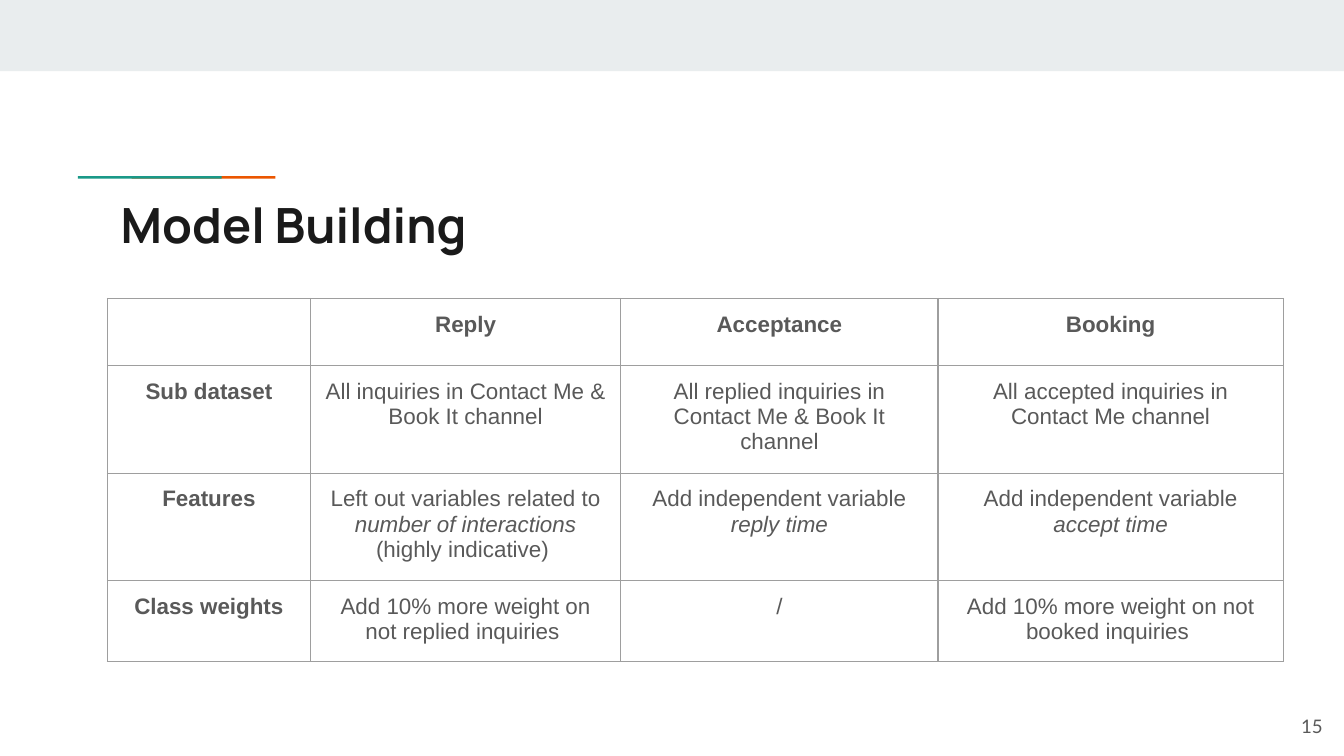
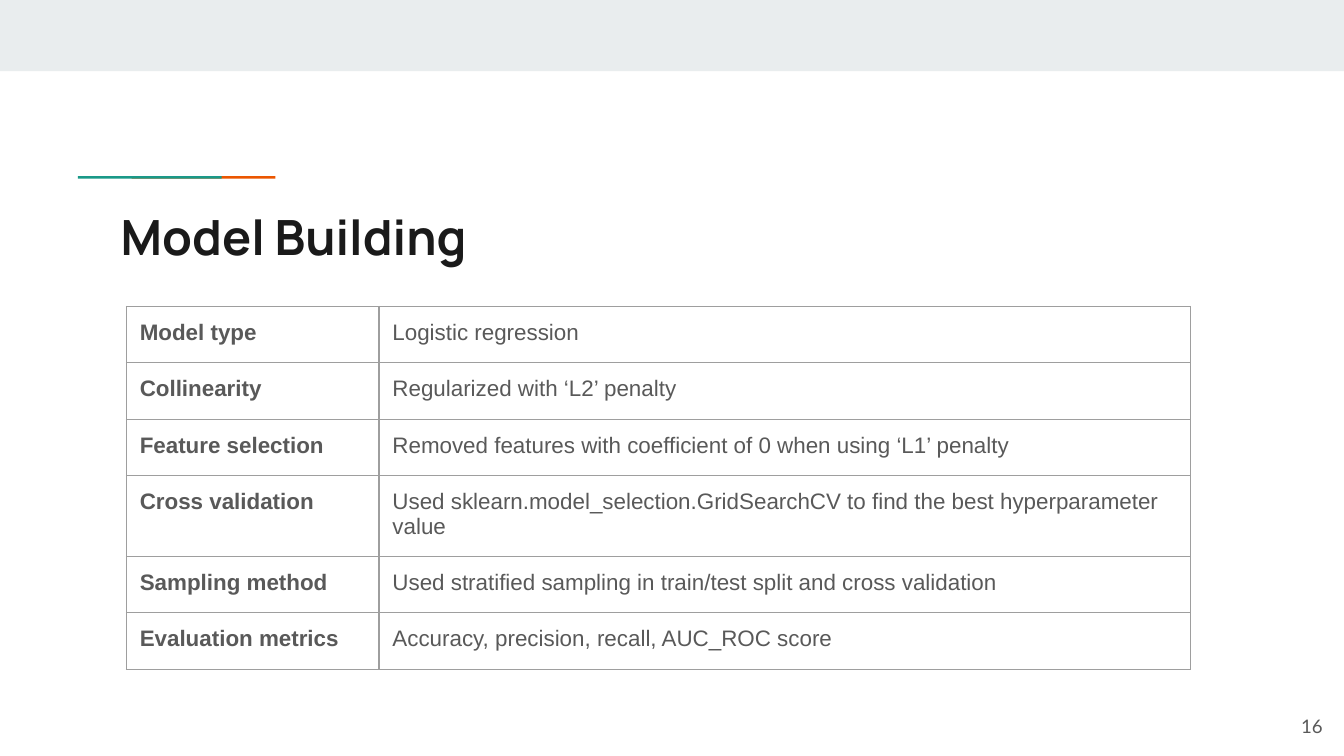
"""Build two slides on model building, each with a titled table."""
from dataclasses import dataclass

from lxml.etree import SubElement
from pptx import Presentation
from pptx.dml.color import RGBColor
from pptx.enum.shapes import MSO_SHAPE
from pptx.enum.text import MSO_ANCHOR, PP_ALIGN
from pptx.oxml import parse_xml
from pptx.oxml.ns import nsdecls, qn
from pptx.util import Inches, Pt


@dataclass(frozen=True)
class Theme:
    band: str = "E9EDEE"
    orange: str = "EB5600"
    green: str = "1A9988"
    title: str = "1A1A1A"
    body: str = "595959"
    border: str = "9E9E9E"
    title_font: str = "Manrope"
    body_font: str = "Arial"
    number_font: str = "Lato"
    title_size: int = 26
    body_size: int = 12
    number_size: int = 10
    border_width: float = 0.75


theme = Theme()


def add_span(para, text, font, size, color, bold=False, italic=False):
    span = para.add_run()
    span.text = text
    span.font.name = font
    span.font.size = Pt(size)
    span.font.color.rgb = RGBColor.from_string(color)
    span.font.bold = bold
    span.font.italic = italic


def add_box(page, left, top, width, height, anchor, align):
    box = page.shapes.add_textbox(Inches(left), Inches(top), Inches(width), Inches(height))
    frame = box.text_frame
    frame.word_wrap = True
    frame.vertical_anchor = anchor
    frame.margin_left = frame.margin_right = Inches(0.1)
    frame.margin_top = frame.margin_bottom = Inches(0.1)
    frame.paragraphs[0].alignment = align
    return frame.paragraphs[0]


bars = [
    (0, 0, 10, 0.53, theme.band),
    (0.98, 1.31, 1.07, 0.02, theme.orange),
    (0.58, 1.31, 1.07, 0.02, theme.green),
]

# Every cell is a tuple of spans in which each second one is italic.
pages = [
    {
        "number": "15",
        "title_top": 1.35,
        "table_at": (0.8, 2.22),
        "columns": [1.51, 2.31, 2.36, 2.57],
        "rows": [0.48, 0.76, 0.76, 0.57],
        "align": PP_ALIGN.CENTER,
        "header": True,
        "cells": [
            [("",), ("Reply",), ("Acceptance",), ("Booking",)],
            [
                ("Sub dataset",),
                ("All inquiries in Contact Me & Book It channel",),
                ("All replied inquiries in Contact Me & Book It channel",),
                ("All accepted inquiries in Contact Me channel",),
            ],
            [
                ("Features",),
                ("Left out variables related to ", "number of interactions", " (highly indicative) "),
                ("Add independent variable ", "reply time"),
                ("Add independent variable ", "accept time"),
            ],
            [
                ("Class weights",),
                ("Add 10% more weight on not replied inquiries ",),
                ("/",),
                ("Add 10% more weight on not booked inquiries ",),
            ],
        ],
    },
    {
        "number": "16",
        "title_top": 1.44,
        "table_at": (0.94, 2.28),
        "columns": [1.88, 6.04],
        "rows": [0.42, 0.42, 0.42, 0.57, 0.42, 0.42],
        "align": PP_ALIGN.LEFT,
        "header": False,
        "cells": [
            [("Model type",), ("Logistic regression",)],
            [("Collinearity",), ("Regularized with ‘L2’ penalty",)],
            [("Feature selection",), ("Removed features with coefficient of 0 when using ‘L1’ penalty",)],
            [
                ("Cross validation",),
                ("Used sklearn.model_selection.GridSearchCV to find the best hyperparameter value",),
            ],
            [("Sampling method",), ("Used stratified sampling in train/test split and cross validation",)],
            [("Evaluation metrics",), ("Accuracy, precision, recall, AUC_ROC score",)],
        ],
    },
]

deck = Presentation()
deck.slide_width = Inches(10)
deck.slide_height = Inches(5.625)

for content in pages:
    page = deck.slides.add_slide(deck.slide_layouts[6])

    for left, top, width, height, color in bars:
        bar = page.shapes.add_shape(
            MSO_SHAPE.RECTANGLE, Inches(left), Inches(top), Inches(width), Inches(height)
        )
        bar.shadow.inherit = False
        bar.fill.solid()
        bar.fill.fore_color.rgb = RGBColor.from_string(color)
        bar.line.fill.background()

    para = add_box(page, 0.8, content["title_top"], 8.41, 0.59, MSO_ANCHOR.TOP, PP_ALIGN.LEFT)
    add_span(para, "Model Building", theme.title_font, theme.title_size, theme.title, bold=True)
    para = add_box(page, 9.34, 5.19, 0.6, 0.43, MSO_ANCHOR.MIDDLE, PP_ALIGN.RIGHT)
    add_span(para, content["number"], theme.number_font, theme.number_size, theme.body)

    columns, rows = content["columns"], content["rows"]
    left, top = content["table_at"]
    table = page.shapes.add_table(
        len(rows), len(columns), Inches(left), Inches(top), Inches(sum(columns)), Inches(sum(rows))
    ).table
    table.first_row = table.horz_banding = False
    for column, width in zip(table.columns, columns):
        column.width = Inches(width)
    for row, height in zip(table.rows, rows):
        row.height = Inches(height)

    for row_index, row_cells in enumerate(content["cells"]):
        for column_index, texts in enumerate(row_cells):
            cell = table.cell(row_index, column_index)
            cell.margin_left = cell.margin_right = Inches(0.1)
            cell.margin_top = cell.margin_bottom = Inches(0.1)
            cell.fill.background()
            properties = cell._tc.get_or_add_tcPr()
            for position, side in enumerate(("lnL", "lnR", "lnT", "lnB")):
                edge = parse_xml(f'<a:{side} {nsdecls("a")} w="{Pt(theme.border_width)}"/>')
                SubElement(SubElement(edge, qn("a:solidFill")), qn("a:srgbClr"), val=theme.border)
                properties.insert(position, edge)
            para = cell.text_frame.paragraphs[0]
            para.alignment = content["align"]
            bold = column_index == 0 or (content["header"] and row_index == 0)
            for position, text in enumerate(texts):
                add_span(
                    para, text, theme.body_font, theme.body_size, theme.body, bold, position % 2 == 1
                )

deck.save("out.pptx")
